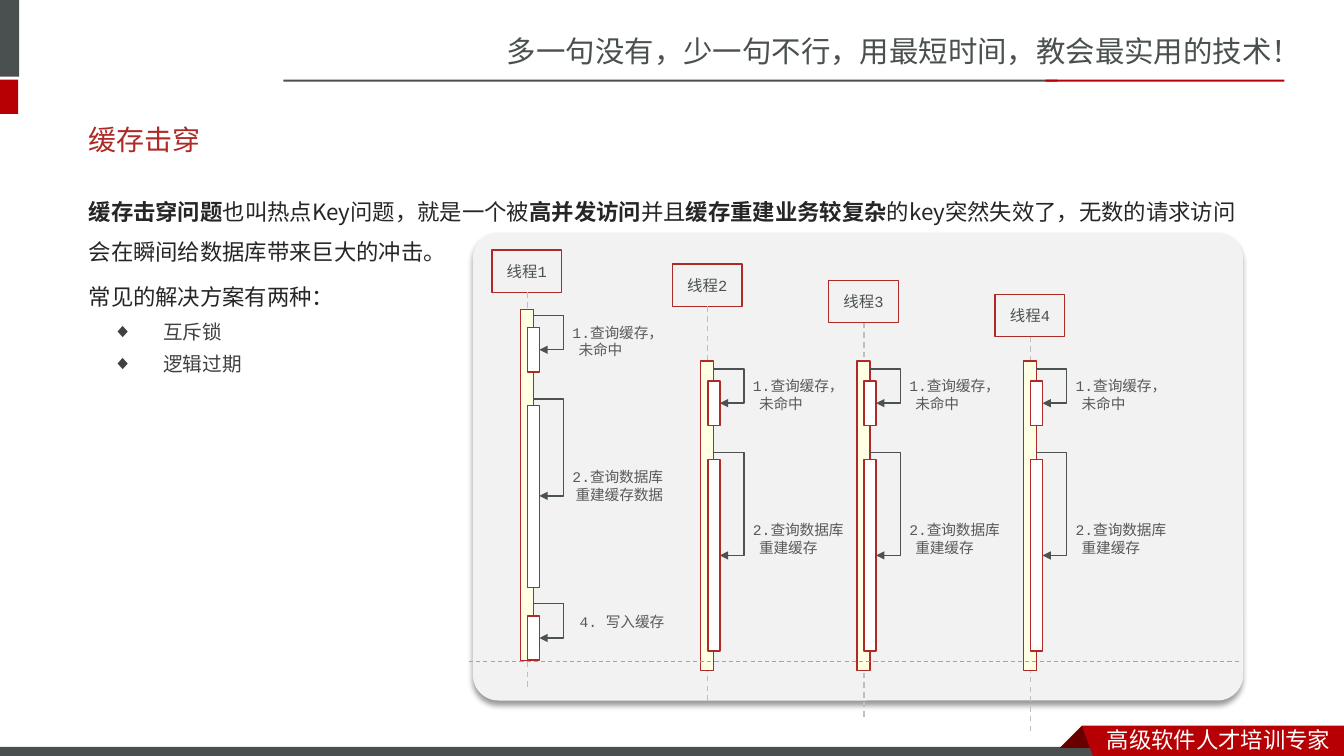
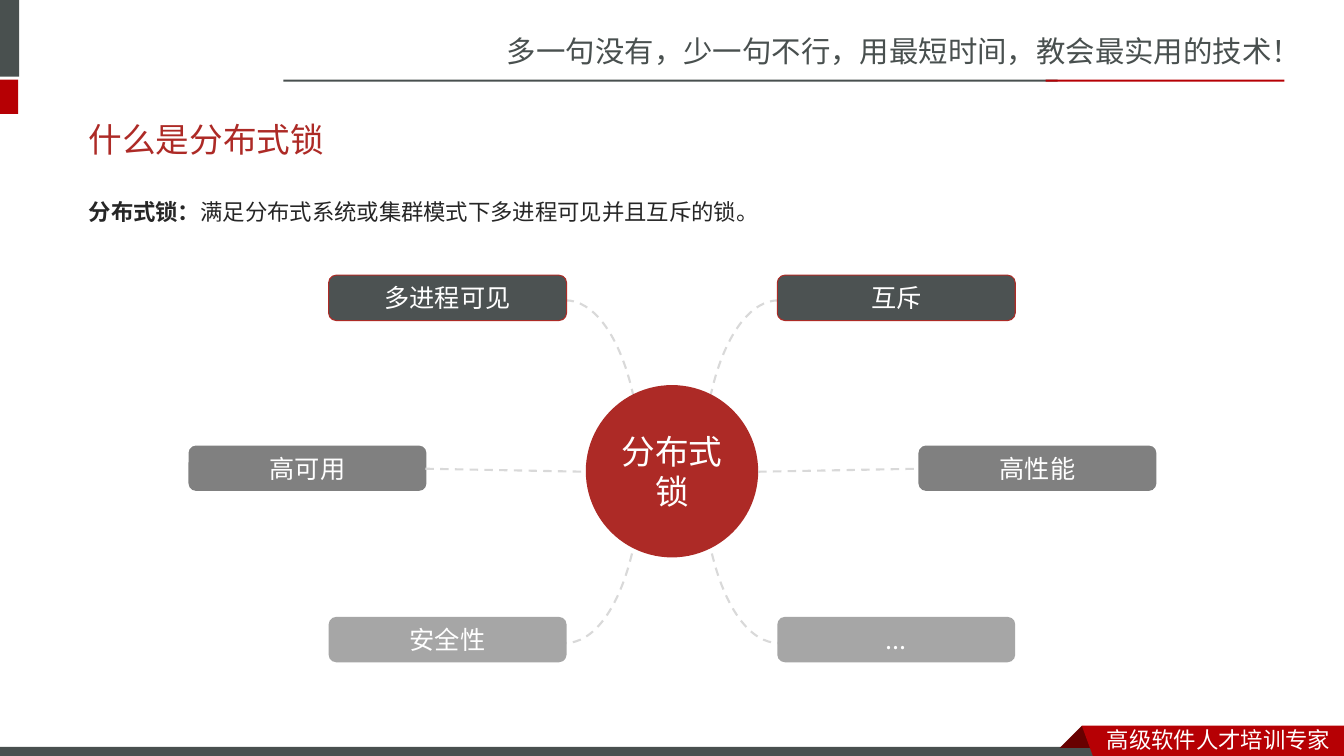
"""Build two lesson slides on cache breakdown and distributed locks."""
from dataclasses import dataclass

from lxml.etree import SubElement
from pptx import Presentation
from pptx.dml.color import RGBColor
from pptx.enum.dml import MSO_LINE
from pptx.enum.shapes import MSO_CONNECTOR, MSO_SHAPE
from pptx.enum.text import MSO_ANCHOR, MSO_AUTO_SIZE, PP_ALIGN
from pptx.oxml.ns import qn
from pptx.util import Pt

PX = 9144
RECT, ROUND, OVAL, ARC = (MSO_SHAPE.RECTANGLE, MSO_SHAPE.ROUNDED_RECTANGLE,
                          MSO_SHAPE.OVAL, MSO_SHAPE.ARC)
STRAIGHT, ELBOW = MSO_CONNECTOR.STRAIGHT, MSO_CONNECTOR.ELBOW
DASH = MSO_LINE.DASH
LEFT, CENTER = PP_ALIGN.LEFT, PP_ALIGN.CENTER
TOP, MIDDLE = MSO_ANCHOR.TOP, MSO_ANCHOR.MIDDLE
NO_FIT = MSO_AUTO_SIZE.NONE

Box = tuple[int, int, int, int]
Point = tuple[int, int]


@dataclass(frozen=True)
class TextStyle:
    size: float
    color: str
    latin: str = "Noto Sans CJK SC"


@dataclass(frozen=True)
class Stroke:
    color: str
    width: float
    dash: bool = False


@dataclass(frozen=True)
class Theme:
    slate: str = "49504F"
    ribbon: str = "B60004"
    fold: str = "680000"
    red: str = "AD2A26"
    ink: str = "4C5252"
    panel: str = "F2F2F2"
    cream: str = "FFFFE4"
    white: str = "FFFFFF"
    mid_gray: str = "808080"
    light_gray: str = "A6A6A6"
    east_asian: str = "Noto Sans CJK SC"
    slogan: TextStyle = TextStyle(21, "49504F")
    tagline: TextStyle = TextStyle(16, "FFFFFF")
    small_title: TextStyle = TextStyle(20, "AD2A26", "Arial")
    title: TextStyle = TextStyle(24, "AD2A26", "Arial")
    body: TextStyle = TextStyle(16, "262626", "Noto Sans CJK JP")
    bullet: TextStyle = TextStyle(14, "404040", "Roboto")
    thread: TextStyle = TextStyle(11, "4C5252", "Courier New")
    note: TextStyle = TextStyle(10.5, "595959", "Courier New")
    trait: TextStyle = TextStyle(18, "FFFFFF", "Noto Sans CJK JP")
    hub: TextStyle = TextStyle(24, "FFFFFF", "Noto Sans CJK JP")
    outline: Stroke = Stroke("AD2A26", 1)
    lifeline: Stroke = Stroke("BFBFBF", 1, True)
    loop: Stroke = Stroke("4C5252", 1)
    deadline: Stroke = Stroke("98B955", 0.75, True)
    spoke: Stroke = Stroke("D9D9D9", 1.5, True)
    trait_edge: Stroke = Stroke("AD2B26", 0.75)


THEME = Theme()


@dataclass(frozen=True)
class Step:
    top: int
    height: int
    lead: int
    note_top: int
    note: tuple[tuple[str, int], ...]


@dataclass(frozen=True)
class Thread:
    label: str
    axis: int
    top: int
    bar_top: int
    bar_height: int
    steps: tuple[Step, ...]


@dataclass(frozen=True)
class Trait:
    label: str
    left: int
    top: int
    fill: str
    edge: Stroke | None = None


MISS_NOTE = (("1.查询缓存，", 0), ("未命中", 6))
FIRST_STEPS = (
    Step(325, 44, 12, 316, MISS_NOTE),
    Step(402, 181, 6, 459, (("2.查询数据库", 0), ("重建缓存数据", 3))),
    Step(611, 44, 12, 603, (("4. 写入缓存", 7),)),
)
LATER_STEPS = (
    Step(378, 44, 12, 369, MISS_NOTE),
    Step(456, 190, 7, 512, (("2.查询数据库", 0), ("重建缓存", 6))),
)
THREADS = (
    Thread("线程1", 523, 248, 307, 348, FIRST_STEPS),
    Thread("线程2", 702, 262, 358, 307, LATER_STEPS),
    Thread("线程3", 857, 278, 358, 307, LATER_STEPS),
    Thread("线程4", 1022, 292, 358, 307, LATER_STEPS),
)
TRAITS = (
    Trait("多进程可见", 326, 273, THEME.ink, THEME.trait_edge),
    Trait("互斥", 771, 273, THEME.ink, THEME.trait_edge),
    Trait("高可用", 187, 442, THEME.mid_gray),
    Trait("高性能", 911, 442, THEME.mid_gray),
    Trait("安全性", 326, 612, THEME.light_gray),
    Trait("...", 771, 612, THEME.light_gray),
)


def apply_format(target: object, values: dict) -> None:
    """Set each named attribute of the target."""
    for name, value in values.items():
        setattr(target, name, value)


def scaled(lengths: tuple) -> list[int]:
    """Turn px lengths into EMU."""
    return [length * PX for length in lengths]


def add_runs(paragraph, pieces: tuple, style: TextStyle) -> None:
    """Add (text, bold) pieces in one style."""
    for text, bold in pieces:
        run = paragraph.add_run()
        run.text = text
        apply_format(run.font, {"size": Pt(style.size), "bold": bold, "name": style.latin})
        run.font.color.rgb = RGBColor.from_string(style.color)
        SubElement(run.font._element, qn("a:ea"), typeface=THEME.east_asian)


def write_text(shape, paragraphs: tuple, style: TextStyle, align=LEFT, anchor=TOP,
               spacing=None, inset: Point = (10, 5)) -> None:
    """Fill a shape with paragraphs, each a tuple of (text, bold) pieces."""
    frame = shape.text_frame
    side, end = scaled(inset)
    apply_format(frame, {"word_wrap": True, "auto_size": NO_FIT, "vertical_anchor": anchor,
                         "margin_left": side, "margin_right": side,
                         "margin_top": end, "margin_bottom": end})
    for index, pieces in enumerate(paragraphs):
        paragraph = frame.add_paragraph() if index else frame.paragraphs[0]
        apply_format(paragraph, {"alignment": align, "line_spacing": spacing})
        add_runs(paragraph, pieces, style)


def set_indent(paragraph, left: int, bullet: str = "") -> None:
    """Indent a paragraph and hang its bullet, if it has one."""
    props = paragraph._p.get_or_add_pPr()
    props.set("marL", str(left * PX))
    props.set("indent", str(-left * PX if bullet else 0))
    if bullet:
        SubElement(props, qn("a:buChar"), char=bullet)
    else:
        SubElement(props, qn("a:buNone"))


def set_stroke(line, stroke: Stroke | None) -> None:
    """Style a line or hide it."""
    if stroke is None:
        line.fill.background()
        return
    line.color.rgb = RGBColor.from_string(stroke.color)
    line.width = Pt(stroke.width)
    if stroke.dash:
        line.dash_style = DASH


def paint(shape, fill: str | None, stroke: Stroke | None) -> None:
    """Give a shape its fill and outline without a shadow."""
    shape.shadow.inherit = False
    if fill:
        shape.fill.solid()
        shape.fill.fore_color.rgb = RGBColor.from_string(fill)
    else:
        shape.fill.background()
    set_stroke(shape.line, stroke)


def add_block(slide, kind, box: Box, fill: str | None = None, stroke: Stroke | None = None):
    """Draw a preset shape."""
    block = slide.shapes.add_shape(kind, *scaled(box))
    paint(block, fill, stroke)
    return block


def add_outline(slide, points: tuple[Point, ...], fill: str) -> None:
    """Draw a filled polygon."""
    builder = slide.shapes.build_freeform(*points[0], scale=PX)
    builder.add_line_segments(points[1:], close=True)
    paint(builder.convert_to_shape(), fill, None)


def add_label(slide, box: Box, lines: tuple[str, ...], style: TextStyle, spacing=None):
    """Add a text box of plain lines."""
    label = slide.shapes.add_textbox(*scaled(box))
    write_text(label, tuple(((line, False),) for line in lines), style, spacing=spacing)
    return label


def add_line(slide, start: Point, end: Point, stroke: Stroke, kind=STRAIGHT):
    """Draw a connector without a shadow."""
    line = slide.shapes.add_connector(kind, *scaled(start + end))
    set_stroke(line.line, stroke)
    SubElement(line.element.spPr, qn("a:effectLst"))
    return line


def add_loop(slide, start: Point, end: Point, reach: int) -> None:
    """Draw an arrow that goes out to the right and comes back."""
    loop = add_line(slide, start, end, THEME.loop, ELBOW)
    props = loop.element.spPr
    SubElement(props.find(qn("a:ln")), qn("a:tailEnd"), type="triangle")
    guides = props.find(qn("a:prstGeom")).find(qn("a:avLst"))
    ratio = round(reach / (end[0] - start[0]) * 100000)
    SubElement(guides, qn("a:gd"), name="adj1", fmla=f"val {ratio}")


def add_panel(slide) -> None:
    """Draw the shadowed panel behind the threads."""
    panel = add_block(slide, ROUND, (469, 231, 764, 464), THEME.panel)
    panel.adjustments[0] = 0.055
    effects = panel.element.spPr.find(qn("a:effectLst"))
    shadow = SubElement(effects, qn("a:outerShdw"), blurRad=str(Pt(4)), dist=str(Pt(3)),
                        dir="5400000", algn="t", rotWithShape="0")
    color = SubElement(shadow, qn("a:srgbClr"), val="000000")
    SubElement(color, qn("a:alpha"), val="40000")


def add_thread(slide, thread: Thread) -> None:
    """Draw one thread with its lifeline, steps and notes."""
    axis = thread.axis
    header = add_block(slide, RECT, (axis - 35, thread.top, 69, 42), None, THEME.outline)
    write_text(header, (((thread.label, False),),), THEME.thread, CENTER, MIDDLE, inset=(0, 0))
    bottom = thread.top + 42
    add_line(slide, (axis, bottom), (axis, bottom + 394), THEME.lifeline)
    add_block(slide, RECT, (axis - 7, thread.bar_top, 13, thread.bar_height),
              THEME.cream, THEME.outline)
    for step in thread.steps:
        add_block(slide, RECT, (axis, step.top, 12, step.height), THEME.white, THEME.outline)
        add_loop(slide, (axis + 6, step.top - step.lead),
                 (axis + 12, step.top + step.height // 2), 30)
        note = add_label(slide, (axis + 35, step.note_top, 116, 45),
                         tuple(text for text, _ in step.note), THEME.note, Pt(12.6))
        for paragraph, (_, indent) in zip(note.text_frame.paragraphs, step.note):
            set_indent(paragraph, indent)


def place(placeholder, box: Box) -> None:
    """Move a placeholder to a box."""
    apply_format(placeholder, dict(zip(("left", "top", "width", "height"), scaled(box))))


def add_heading(slide, title: str, style: TextStyle, body: tuple) -> None:
    """Fill the title and the opening text."""
    place(slide.shapes.title, (78, 113, 1170, 50))
    write_text(slide.shapes.title, (((title, False),),), style, anchor=MIDDLE)
    intro = slide.placeholders[1]
    place(intro, (78, 178, 1170, 54))
    write_text(intro, body, THEME.body, spacing=1.5)
    for paragraph in intro.text_frame.paragraphs:
        set_indent(paragraph, 0)


def build_master(prs, slide) -> None:
    """Draw the shared bands and captions and move them to the master."""
    for box, fill in (((0, 0, 19, 76), THEME.slate), ((0, 79, 18, 34), THEME.ribbon),
                      ((281, 79, 768, 2), THEME.slate), ((1037, 79, 237, 2), THEME.ribbon),
                      ((0, 741, 1095, 9), THEME.slate)):
        add_block(slide, RECT, box, fill)
    add_outline(slide, ((1073, 720), (1095, 742), (1051, 742)), THEME.fold)
    add_outline(slide, ((1073, 720), (1333, 720), (1333, 750), (1084, 750)), THEME.ribbon)
    add_label(slide, (493, 28, 841, 47),
              ("多一句没有，少一句不行，用最短时间，教会最实用的技术！",), THEME.slogan)
    add_label(slide, (1088, 715, 245, 37), ("高级软件人才培训专家",), THEME.tagline)
    shared = [shape for shape in slide.shapes if not shape.is_placeholder]
    for number, shape in enumerate(shared, 101):
        shape.element.nvSpPr.cNvPr.set("id", str(number))
        prs.slide_master.shapes.element.append(shape.element)


def build_breakdown(slide) -> None:
    """Build the cache breakdown slide."""
    add_heading(slide, "缓存击穿", THEME.small_title, (
        (("缓存击穿问题", True), ("也叫热点Key问题，就是一个被", False),
         ("高并发访问", True), ("并且", False), ("缓存重建业务较复杂", True),
         ("的key突然失效了，无数的请求访问会在瞬间给数据库带来巨大的冲击。", False)),
        (("常见的解决方案有两种：", False),)))
    remedies = slide.placeholders[2]
    place(remedies, (102, 312, 279, 80))
    write_text(remedies, ((("互斥锁", False),), (("逻辑过期", False),)), THEME.bullet)
    for paragraph in remedies.text_frame.paragraphs:
        apply_format(paragraph, {"space_before": Pt(0), "space_after": Pt(6.4)})
        set_indent(paragraph, 50, "◆")
    add_panel(slide)
    for thread in THREADS:
        add_thread(slide, thread)
    add_line(slide, (465, 656), (1229, 656), THEME.deadline)


def build_lock(slide) -> None:
    """Build the distributed lock slide."""
    add_heading(slide, "什么是分布式锁", THEME.title, (
        (("分布式锁：", True), ("满足分布式系统或集群模式下多进程可见并且互斥的锁。", False)),))
    for left, flipped in ((486, False), (697, True)):
        for angles in ((162, 205), (10.5, 54.32)):
            arc = add_block(slide, ARC, (left, 298, 150, 340), None, THEME.spoke)
            arc.adjustments[0], arc.adjustments[1] = angles
            if flipped:
                arc.element.spPr.find(qn("a:xfrm")).set("flipH", "1")
    for trait in TRAITS:
        block = add_block(slide, ROUND, (trait.left, trait.top, 236, 45), trait.fill, trait.edge)
        write_text(block, (((trait.label, False),),), THEME.trait, CENTER, MIDDLE)
    hub = add_block(slide, OVAL, (581, 382, 171, 171), THEME.red)
    write_text(hub, ((("分布式锁", False),),), THEME.hub, CENTER, MIDDLE, inset=(0, 0))
    add_line(slide, (422, 465), (581, 468), THEME.spoke)
    add_line(slide, (752, 468), (911, 465), THEME.spoke)


def main() -> None:
    """Build and save the presentation."""
    prs = Presentation()
    prs.slide_width, prs.slide_height = scaled((1333, 750))
    breakdown = prs.slides.add_slide(prs.slide_layouts[3])
    build_master(prs, breakdown)
    build_breakdown(breakdown)
    build_lock(prs.slides.add_slide(prs.slide_layouts[1]))
    prs.save("out.pptx")


if __name__ == "__main__":
    main()
